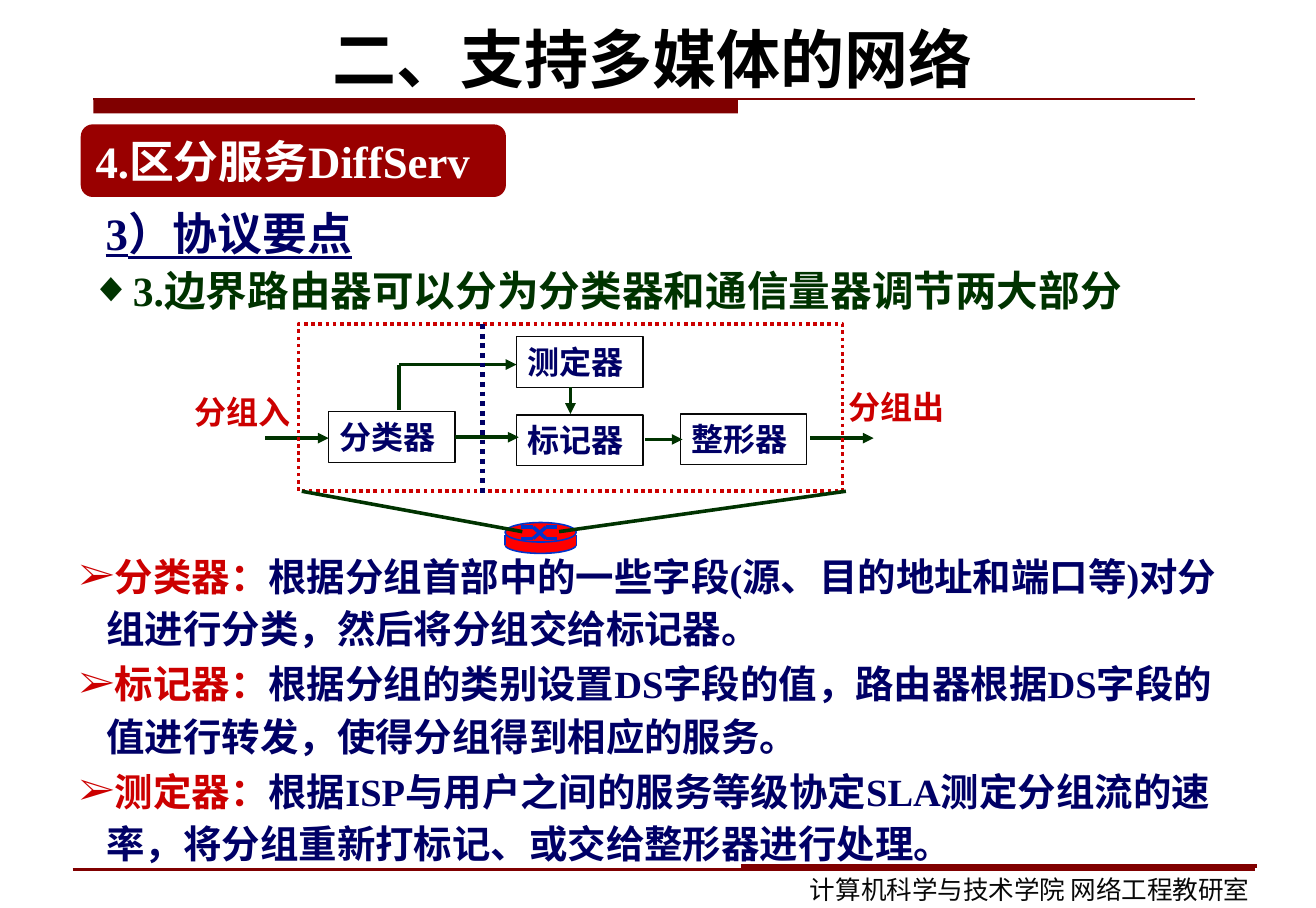
from dataclasses import dataclass
from lxml import etree
from pptx import Presentation
from pptx.dml.color import RGBColor
from pptx.enum.dml import MSO_LINE
from pptx.enum.shapes import MSO_CONNECTOR, MSO_SHAPE
from pptx.enum.text import MSO_ANCHOR, PP_ALIGN
from pptx.oxml.ns import qn
from pptx.util import Cm, Pt

DOT = MSO_LINE.ROUND_DOT
LINE = MSO_CONNECTOR.STRAIGHT
RECT, OVAL, PILL = MSO_SHAPE.RECTANGLE, MSO_SHAPE.OVAL, MSO_SHAPE.ROUNDED_RECTANGLE
TOP, MID = MSO_ANCHOR.TOP, MSO_ANCHOR.MIDDLE
LEFT, CENTER = PP_ALIGN.LEFT, PP_ALIGN.CENTER


@dataclass(frozen=True)
class Theme:
    serif: str = "Times New Roman"
    sans: str = "Arial"
    black: str = "000000"
    ink: str = "080808"
    white: str = "FFFFFF"
    navy: str = "000066"
    green: str = "003300"
    red: str = "CC0000"
    rule: str = "800000"
    badge: str = "990000"
    router: str = "FF0000"
    edge: str = "0033CC"
    title: int = 40
    head: int = 28
    item: int = 26
    body: int = 24
    label: int = 20
    foot: int = 16


T = Theme()


def color(code):
    return RGBColor.from_string(code)


def style(run, font, size, tone, bold=True, under=False):
    run.font.name = font
    run.font.size = Pt(size)
    run.font.color.rgb = color(tone)
    run.font.bold = bold
    if under:
        run.font.underline = True


def write(shape, text, font, size, tone, bold=True, under=False,
          align=LEFT, anchor=TOP, wrap=True):
    frame = shape.text_frame
    frame.word_wrap = wrap
    frame.vertical_anchor = anchor
    frame.text = text
    para = frame.paragraphs[0]
    para.alignment = align
    style(para.runs[0], font, size, tone, bold, under)
    return para


def text_box(shapes, place):
    return shapes.add_textbox(*map(Cm, place))


def block(shapes, kind, place, fill=None, edge=None, width=1, dash=None):
    shape = shapes.add_shape(kind, *map(Cm, place))
    shape.shadow.inherit = False
    if fill:
        shape.fill.solid()
        shape.fill.fore_color.rgb = color(fill)
    else:
        shape.fill.background()
    if edge:
        shape.line.color.rgb = color(edge)
        shape.line.width = Pt(width)
        if dash:
            shape.line.dash_style = dash
    else:
        shape.line.fill.background()
    return shape


def line(shapes, ends, tone, width, arrow=False, dash=None):
    wire = shapes.add_connector(LINE, *map(Cm, ends))
    wire.line.color.rgb = color(tone)
    wire.line.width = Pt(width)
    if dash:
        wire.line.dash_style = dash
    if arrow:
        etree.SubElement(wire.line._get_or_add_ln(), qn("a:tailEnd"), type="triangle")
    props = wire._element.find(qn("p:spPr"))
    etree.SubElement(props, qn("a:effectLst"))


def bullet(para, mark, tone, indent):
    props = para._p.get_or_add_pPr()
    props.set("marL", str(Cm(indent)))
    props.set("indent", str(-Cm(indent)))
    paint = etree.SubElement(props, qn("a:buClr"))
    etree.SubElement(paint, qn("a:srgbClr"), val=tone)
    etree.SubElement(props, qn("a:buFont"), typeface=T.serif)
    etree.SubElement(props, qn("a:buChar"), char=mark)


def header(shapes):
    block(shapes, RECT, (2.06, 2.18, 14.2, 0.32), T.rule)
    line(shapes, (2.06, 2.18, 26.34, 2.18), T.rule, 0.75)
    write(text_box(shapes, (1.55, -0.13, 25.65, 2.82)), "二、支持多媒体的网络",
          T.serif, T.title, T.black, align=CENTER, anchor=MID)
    badge = block(shapes, PILL, (1.78, 2.74, 9.37, 1.6), T.badge)
    write(badge, "4.区分服务DiffServ", T.serif, T.head, T.white, anchor=MID, wrap=False)


def topic(shapes):
    head = write(text_box(shapes, (2.08, 4.29, 26.01, 1.57)), "3）协议要点",
                 T.serif, T.head, T.navy, under=True)
    item = write(text_box(shapes, (1.75, 5.59, 26.44, 1.47)),
                 "3.边界路由器可以分为分类器和通信量器调节两大部分",
                 T.serif, T.item, T.green)
    head.line_spacing = item.line_spacing = 1.1
    bullet(item, "◆", T.green, 0.93)


def router(shapes):
    group = shapes.add_group_shape().shapes
    left, right, wide = 11.13, 12.7, 1.57
    block(group, OVAL, (left, 11.81, wide, 0.38), T.router, T.edge)
    block(group, RECT, (left, 11.79, wide, 0.23), T.router)
    for x in (left, right):
        line(group, (x, 11.79, x, 12.01), T.edge, 1)
    block(group, OVAL, (left, 11.51, wide, 0.43), T.router, T.edge)
    high, low = 11.61, 11.86
    for start, end in ((high, low), (low, high)):
        line(group, (11.48, start, 11.75, start), T.edge, 2.25)
        line(group, (11.75, start, 12.03, end), T.edge, 2.25)
        line(group, (12.03, end, 12.28, end), T.edge, 2.25)


def diagram(shapes):
    for name, x, y in (("分类器", 7.24, 9.07), ("测定器", 11.38, 7.42),
                       ("标记器", 11.38, 9.14), ("整形器", 14.99, 9.12)):
        box = block(shapes, RECT, (x, y, 2.79, 1.12), edge=T.ink, width=0.75)
        write(box, name, T.sans, T.label, T.navy)
    for ends in ((10.03, 9.63, 11.43, 9.63), (12.57, 8.53, 12.57, 9.12),
                 (14.22, 9.68, 15.04, 9.68), (8.79, 8.03, 11.38, 8.03),
                 (17.86, 9.65, 19.25, 9.65), (5.84, 9.65, 7.24, 9.65)):
        line(shapes, ends, T.green, 2.25, arrow=True)
    line(shapes, (8.79, 9.02, 8.79, 8.03), T.green, 2.25)
    block(shapes, RECT, (6.58, 7.14, 11.99, 3.68), edge=T.red, width=2.25, dash=DOT)
    for ends in ((6.65, 10.82, 11.51, 11.71), (12.32, 11.71, 18.64, 10.82)):
        line(shapes, ends, T.green, 2.25)
    for name, x, y in (("分组入", 4.04, 8.51), ("分组出", 18.44, 8.41)):
        write(text_box(shapes, (x, y, 3, 1.12)), name, T.sans, T.label, T.red)
    line(shapes, (10.64, 7.14, 10.64, 10.95), T.navy, 3, dash=DOT)


def notes(shapes):
    frame = text_box(shapes, (1.5, 11.91, 25.81, 7.32)).text_frame
    frame.word_wrap = True
    rows = (
        ("分类器：", "根据分组首部中的一些字段(源、目的地址和端口等)对分组进行分类，然后将分组交给标记器。"),
        ("标记器：", "根据分组的类别设置DS字段的值，路由器根据DS字段的值进行转发，使得分组得到相应的服务。"),
        ("测定器：", "根据ISP与用户之间的服务等级协定SLA测定分组流的速率，将分组重新打标记、或交给整形器进行处理。"),
    )
    for i, (term, text) in enumerate(rows):
        para = frame.add_paragraph() if i else frame.paragraphs[0]
        para.text = term
        para.add_run().text = text
        para.line_spacing = 1.14
        para.space_before = Pt(1.5)
        bullet(para, "➢", T.red, 0.6)
        for run, tone in zip(para.runs, (T.red, T.navy)):
            style(run, T.serif, T.body, tone)


def footer(shapes):
    line(shapes, (1.6, 19.15, 27.66, 19.15), T.rule, 1.5)
    line(shapes, (16.33, 19.07, 27.71, 19.07), T.rule, 2.25)
    write(text_box(shapes, (17.6, 19.13, 10.67, 0.94)),
          "计算机科学与技术学院 网络工程教研室", T.sans, T.foot, T.ink, bold=False)


def main():
    deck = Presentation()
    deck.slide_width, deck.slide_height = Cm(29), Cm(20)
    shapes = deck.slides.add_slide(deck.slide_layouts[6]).shapes
    for part in (header, topic, router, diagram, notes, footer):
        part(shapes)
    deck.save("out.pptx")


if __name__ == "__main__":
    main()
